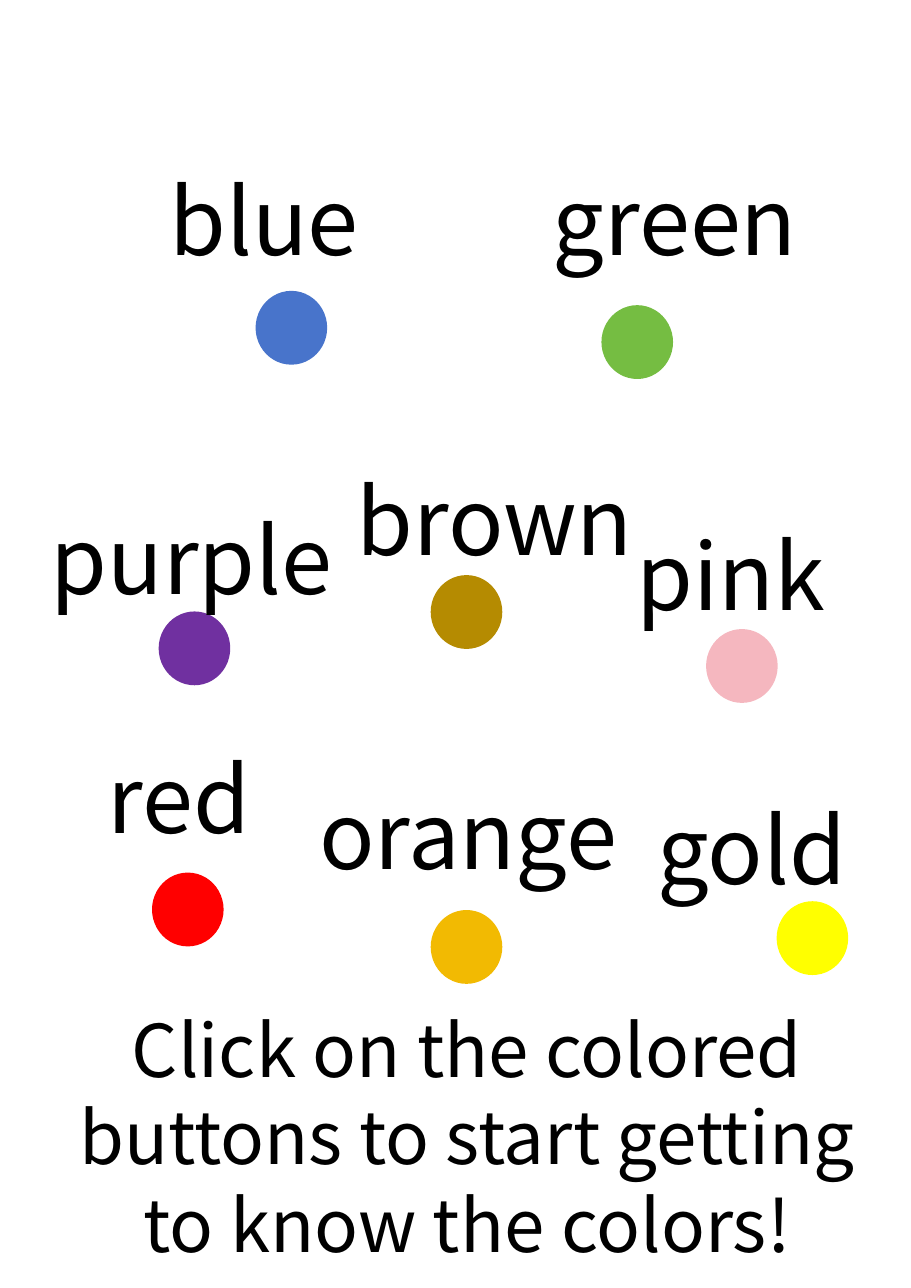
from dataclasses import dataclass

from pptx import Presentation
from pptx.dml.color import RGBColor
from pptx.enum.shapes import MSO_SHAPE
from pptx.enum.text import MSO_ANCHOR, MSO_AUTO_SIZE, PP_ALIGN
from pptx.presentation import Presentation as Deck
from pptx.slide import Slide
from pptx.text.text import TextFrame
from pptx.util import Inches, Pt

FONT = "Noto Sans CJK SC"
COLORS = {
    "text": "000000",
    "blue": "4874CB",
    "green": "75BD42",
    "purple": "7030A0",
    "brown": "B58B01",
    "pink": "F5B7BF",
    "red": "FF0000",
    "orange": "F2BA02",
    "gold": "FFFF00",
}
PAGE_WIDTH, PAGE_HEIGHT = 8.27, 11.69
BUTTON_WIDTH, BUTTON_HEIGHT = 0.65, 0.67
LABEL_HEIGHT = 0.97


@dataclass(frozen=True)
class ColorEntry:
    name: str
    button_left: float
    button_top: float
    label_left: float
    label_top: float
    label_width: float = 2.6


ENTRIES = [
    ColorEntry("blue", 2.32, 2.64, 1.44, 1.44),
    ColorEntry("green", 5.46, 2.77, 4.92, 1.44),
    ColorEntry("purple", 1.44, 5.55, 0.36, 4.51, 3.13),
    ColorEntry("brown", 3.91, 5.22, 3.14, 4.16, 3.0),
    ColorEntry("pink", 6.41, 5.71, 5.68, 4.66, 2.5),
    ColorEntry("red", 1.38, 7.92, 0.88, 6.68),
    ColorEntry("orange", 3.91, 8.26, 2.8, 7.01, 3.05),
    ColorEntry("gold", 7.05, 8.18, 5.87, 7.15, 2.3),
]


def resize_deck(deck: Deck) -> None:
    """Set the page size and scale the template's placeholders to fit it."""
    across = Inches(PAGE_WIDTH) / deck.slide_width
    down = Inches(PAGE_HEIGHT) / deck.slide_height
    # Layouts go first: they inherit places from the master.
    for template in [*deck.slide_layouts, deck.slide_master]:
        for holder in template.placeholders:
            left, top, width, height = holder.left, holder.top, holder.width, holder.height
            holder.left, holder.width = int(left * across), int(width * across)
            holder.top, holder.height = int(top * down), int(height * down)
    deck.slide_width, deck.slide_height = Inches(PAGE_WIDTH), Inches(PAGE_HEIGHT)


def write_text(frame: TextFrame, text: str, size: float,
               alignment: PP_ALIGN, anchor: MSO_ANCHOR) -> None:
    frame.word_wrap = True
    frame.auto_size = MSO_AUTO_SIZE.NONE
    frame.vertical_anchor = anchor
    para = frame.paragraphs[0]
    para.alignment = alignment
    span = para.add_run()
    span.text = text
    span.font.name = FONT
    span.font.size = Pt(size)
    span.font.color.rgb = RGBColor.from_string(COLORS["text"])


def add_instruction(page: Slide) -> None:
    title = page.shapes.title
    title.left, title.top = Inches(0.42), Inches(9.03)
    title.width, title.height = Inches(7.64), Inches(2.56)
    write_text(title.text_frame,
               "Click on the colored buttons to start getting to know the colors!",
               47.5, PP_ALIGN.CENTER, MSO_ANCHOR.MIDDLE)


def add_button(page: Slide, entry: ColorEntry) -> None:
    button = page.shapes.add_shape(
        MSO_SHAPE.OVAL, Inches(entry.button_left), Inches(entry.button_top),
        Inches(BUTTON_WIDTH), Inches(BUTTON_HEIGHT))
    button.shadow.inherit = False
    button.fill.solid()
    button.fill.fore_color.rgb = RGBColor.from_string(COLORS[entry.name])
    button.line.fill.background()


def add_label(page: Slide, entry: ColorEntry) -> None:
    box = page.shapes.add_textbox(
        Inches(entry.label_left), Inches(entry.label_top),
        Inches(entry.label_width), Inches(LABEL_HEIGHT))
    write_text(box.text_frame, entry.name, 60, PP_ALIGN.LEFT, MSO_ANCHOR.TOP)


def main() -> None:
    deck = Presentation()
    resize_deck(deck)
    page = deck.slides.add_slide(deck.slide_layouts.get_by_name("Title Only"))
    add_instruction(page)
    for entry in ENTRIES:
        add_button(page, entry)
        add_label(page, entry)
    deck.save("out.pptx")


if __name__ == "__main__":
    main()
